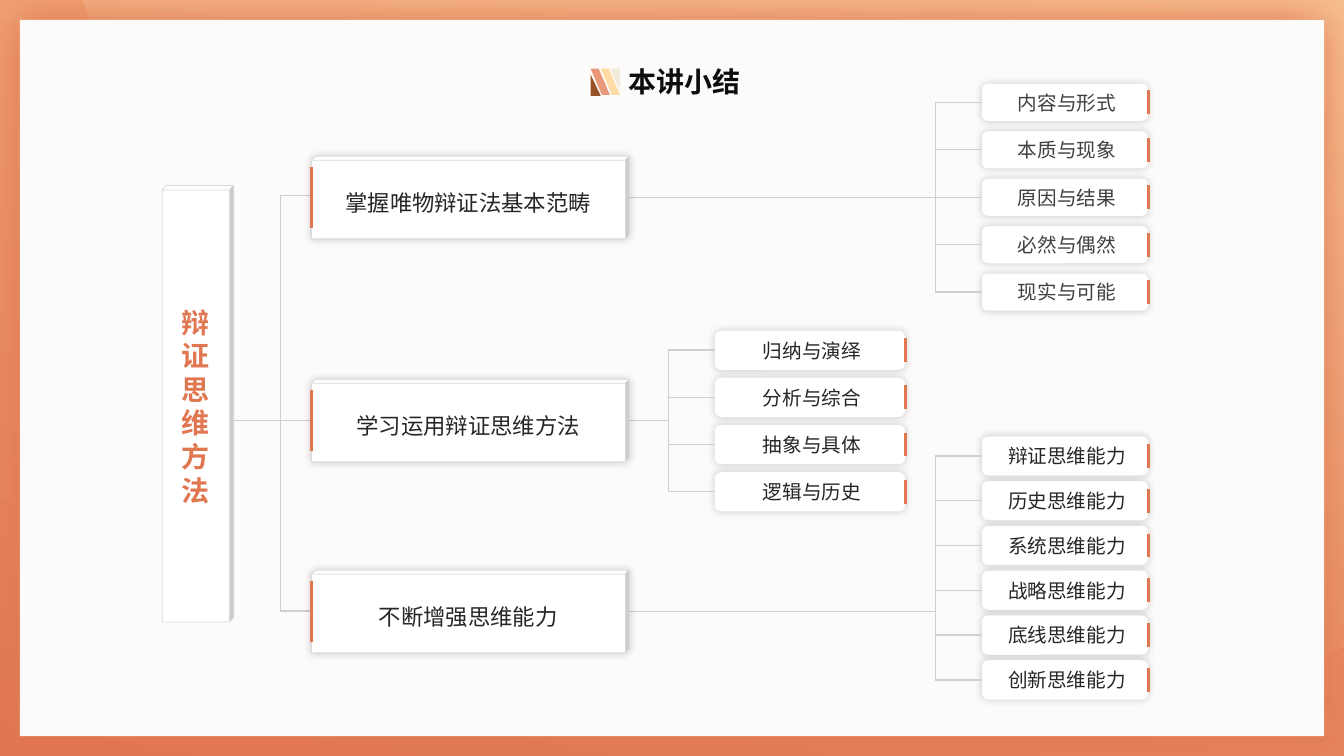
"""Builds the lecture summary slide: a tree of dialectical thinking methods."""
from lxml import etree
from pptx import Presentation
from pptx.dml.color import RGBColor
from pptx.enum.shapes import MSO_CONNECTOR, MSO_SHAPE
from pptx.enum.text import MSO_ANCHOR, MSO_AUTO_SIZE, PP_ALIGN
from pptx.oxml.ns import qn
from pptx.util import Pt

RECT, ROUND, CUBE = MSO_SHAPE.RECTANGLE, MSO_SHAPE.ROUNDED_RECTANGLE, MSO_SHAPE.CUBE
SLANT, TRIANGLE = MSO_SHAPE.PARALLELOGRAM, MSO_SHAPE.RIGHT_TRIANGLE
STRAIGHT = MSO_CONNECTOR.STRAIGHT
LEFT_SIDE = 1

TITLE = "本讲小结"
ROOT = "辩证思维方法"
BRANCHES = [
    {"text": "掌握唯物辩证法基本范畴", "top": 111.6, "entry": 139.7, "spine": 668.2, "tag_color": "404040",
     "left": 701.3, "width": 118.8, "first": 59.8, "pitch": 33.9, "height": 26.6,
     "tags": ["内容与形式", "本质与现象", "原因与结果", "必然与偶然", "现实与可能"]},
    {"text": "学习运用辩证思维方法", "top": 270.9, "entry": 300.2, "spine": 477.4, "tag_color": "262626",
     "left": 510.5, "width": 136.1, "first": 236.1, "pitch": 33.7, "height": 28.1,
     "tags": ["归纳与演绎", "分析与综合", "抽象与具体", "逻辑与历史"]},
    {"text": "不断增强思维能力", "top": 407.3, "entry": 436.5, "spine": 668.2, "tag_color": "262626",
     "left": 701.3, "width": 118.8, "first": 311.6, "pitch": 32, "height": 28.1,
     "tags": ["辩证思维能力", "历史思维能力", "系统思维能力", "战略思维能力", "底线思维能力", "创新思维能力"]},
]
EMBLEM = [
    (SLANT, 429.1, 49, 13.7, 18.7, "FEDCA3", "flipH"),
    (TRIANGLE, 435.6, 49, 7.2, 15.1, "F2EBD9", "flipH flipV"),
    (SLANT, 421.9, 49, 13.7, 18.7, "E89779", "flipH"),
    (TRIANGLE, 421.9, 53.3, 7.2, 15.1, "985125", ""),
]
WAVE_CORNERS = [(59.8, 0), (960, 0), (960, 460.8)]
WAVE_CURVES = [
    ((946.8, 465.1), (879.8, 486), (809.3, 496.8), (735.8, 496.8)),
    ((735.8, 496.8), (429.8, 496.8), (169.9, 303.1), (70.6, 31.7)),
]
THEME = {
    "font": "Noto Sans CJK SC", "title": "0D0D0D", "text": "262626",
    "accent": "E17751", "glow": "F4AD7D", "pale": "FDD5A6", "paper": "FDFBF9",
    "white": "FFFFFF", "rule": "D0CECE", "edge": "D9D9D9", "black": "000000",
    "title_size": 20, "branch_size": 16, "tag_size": 14,
}
ROOT_BOX = (115.9, 132.5, 51.1, 311.8)
BRANCH_LEFT, BRANCH_WIDTH, BRANCH_HEIGHT = 222.5, 226.8, 59
ROOT_SPINE = 200.2
CURVE_STEPS = 16


def rgb(value):
    return RGBColor.from_string(value)


def write(box, text, size, color, bold=False, spacing=None, align=PP_ALIGN.CENTER):
    frame = box.text_frame
    frame.word_wrap = True
    frame.vertical_anchor = MSO_ANCHOR.MIDDLE
    para = frame.paragraphs[0]
    para.alignment = align
    if spacing:
        para.line_spacing = spacing
    span = para.add_run()
    span.text = text
    span.font.name = THEME["font"]
    span.font.size = Pt(size)
    span.font.bold = bold
    span.font.color.rgb = rgb(color)
    east = etree.SubElement(span.font._element, qn("a:ea"))
    east.set("typeface", THEME["font"])


def add_shadow(shape, color, opacity, blur, angle):
    effects = shape._element.spPr.find(qn("a:effectLst"))
    shadow = etree.SubElement(effects, qn("a:outerShdw"), blurRad=str(Pt(blur)), dist="0",
                              dir=str(angle * 60000), algn="ctr", rotWithShape="0")
    tint = etree.SubElement(shadow, qn("a:srgbClr"), val=color)
    etree.SubElement(tint, qn("a:alpha"), val=str(opacity * 1000))


def add_box(page, kind, left, top, width, height, fill=None, line=None, adjust=None):
    box = page.shapes.add_shape(kind, Pt(left), Pt(top), Pt(width), Pt(height))
    box.shadow.inherit = False
    if fill:
        box.fill.solid()
        box.fill.fore_color.rgb = rgb(fill)
    if line:
        box.line.color.rgb = rgb(line)
        box.line.width = Pt(0.5)
    else:
        box.line.fill.background()
    if adjust is not None:
        box.adjustments[0] = adjust
    return box


def add_line(page, x1, y1, x2, y2, color=THEME["rule"], width=1):
    line = page.shapes.add_connector(STRAIGHT, Pt(x1), Pt(y1), Pt(x2), Pt(y2))
    line.line.color.rgb = rgb(color)
    line.line.width = Pt(width)
    etree.SubElement(line._element.spPr, qn("a:effectLst"))
    return line


def add_accent(page, x, middle, length):
    add_line(page, x, middle - length / 2, x, middle + length / 2, THEME["accent"], 2)


def fill_gradient(shape, start, end):
    shape.fill.gradient()
    shape.fill.gradient_angle = 80
    for stop, color, position in zip(shape.fill.gradient_stops, (start, end), (0, 1)):
        stop.color.rgb = rgb(color)
        stop.position = position


def curve_points(p0, p1, p2, p3):
    for step in range(CURVE_STEPS + 1):
        t = step / CURVE_STEPS
        u = 1 - t
        yield tuple(u**3 * a + 3 * u * u * t * b + 3 * u * t * t * c + t**3 * d
                    for a, b, c, d in zip(p0, p1, p2, p3))


def draw_backdrop(page):
    fill_gradient(add_box(page, RECT, 0, 0, 960, 540), THEME["accent"], THEME["glow"])
    outline = WAVE_CORNERS + [point for curve in WAVE_CURVES for point in curve_points(*curve)]
    points = [(Pt(x), Pt(y)) for x, y in outline]
    builder = page.shapes.build_freeform(*points[0])
    builder.add_line_segments(points[1:], close=True)
    wave = builder.convert_to_shape()
    wave.shadow.inherit = False
    wave.line.fill.background()
    fill_gradient(wave, THEME["accent"], THEME["pale"])
    last_color = wave._element.spPr.findall(".//" + qn("a:srgbClr"))[-1]
    etree.SubElement(last_color, qn("a:alpha"), val="50000")
    paper = add_box(page, RECT, 14.2, 14.2, 931.6, 511.6, THEME["paper"])
    add_shadow(paper, THEME["accent"], 100, 30, 0)


def draw_title(page):
    box = page.shapes.add_textbox(Pt(442), Pt(42.5), Pt(96.5), Pt(31.7))
    write(box, TITLE, THEME["title_size"], THEME["title"], bold=True, align=PP_ALIGN.LEFT)
    box.text_frame.auto_size = MSO_AUTO_SIZE.SHAPE_TO_FIT_TEXT
    for kind, left, top, width, height, color, flips in EMBLEM:
        piece = add_box(page, kind, left, top, width, height, color,
                        adjust=0.585 if kind == SLANT else None)
        for flip in flips.split():
            piece._element.spPr.find(qn("a:xfrm")).set(flip, "1")


def draw_root(page):
    entries = [branch["entry"] for branch in BRANCHES]
    left, top, width, height = ROOT_BOX
    add_line(page, ROOT_SPINE, entries[0], ROOT_SPINE, entries[-1])
    add_line(page, left + width, entries[1], ROOT_SPINE, entries[1])
    root = add_box(page, CUBE, *ROOT_BOX, THEME["white"], THEME["edge"], 0.063)
    write(root, ROOT, THEME["title_size"], THEME["accent"], bold=True, spacing=Pt(24))


def draw_branch(page, branch):
    middle = branch["top"] + BRANCH_HEIGHT / 2
    spine, left, height = branch["spine"], branch["left"], branch["height"]
    centers = [branch["first"] + height / 2 + i * branch["pitch"] for i in range(len(branch["tags"]))]
    add_line(page, ROOT_SPINE, branch["entry"], BRANCH_LEFT, branch["entry"])
    add_line(page, BRANCH_LEFT + BRANCH_WIDTH, middle, spine, middle)
    add_line(page, spine, centers[0], spine, centers[-1])
    for text, center in zip(branch["tags"], centers):
        tag = add_box(page, ROUND, left, center - height / 2, branch["width"], height, THEME["white"])
        add_shadow(tag, THEME["black"], 20, 6, 315)
        write(tag, text, THEME["tag_size"], branch["tag_color"])
        tag.text_frame.margin_left = Pt(10)
        add_line(page, spine, center, left, center).end_connect(tag, LEFT_SIDE)
        add_accent(page, left + branch["width"], center, 17)
    box = add_box(page, CUBE, BRANCH_LEFT, branch["top"], BRANCH_WIDTH, BRANCH_HEIGHT,
                  THEME["white"], THEME["edge"], 0.048)
    add_shadow(box, THEME["black"], 20, 6, 315)
    write(box, branch["text"], THEME["branch_size"], THEME["text"], spacing=1.2)
    add_accent(page, BRANCH_LEFT, middle, 43.6)


def main():
    deck = Presentation()
    deck.slide_width, deck.slide_height = Pt(960), Pt(540)
    page = deck.slides.add_slide(deck.slide_layouts[6])
    draw_backdrop(page)
    draw_title(page)
    draw_root(page)
    for branch in BRANCHES:
        draw_branch(page, branch)
    deck.save("out.pptx")


if __name__ == "__main__":
    main()
